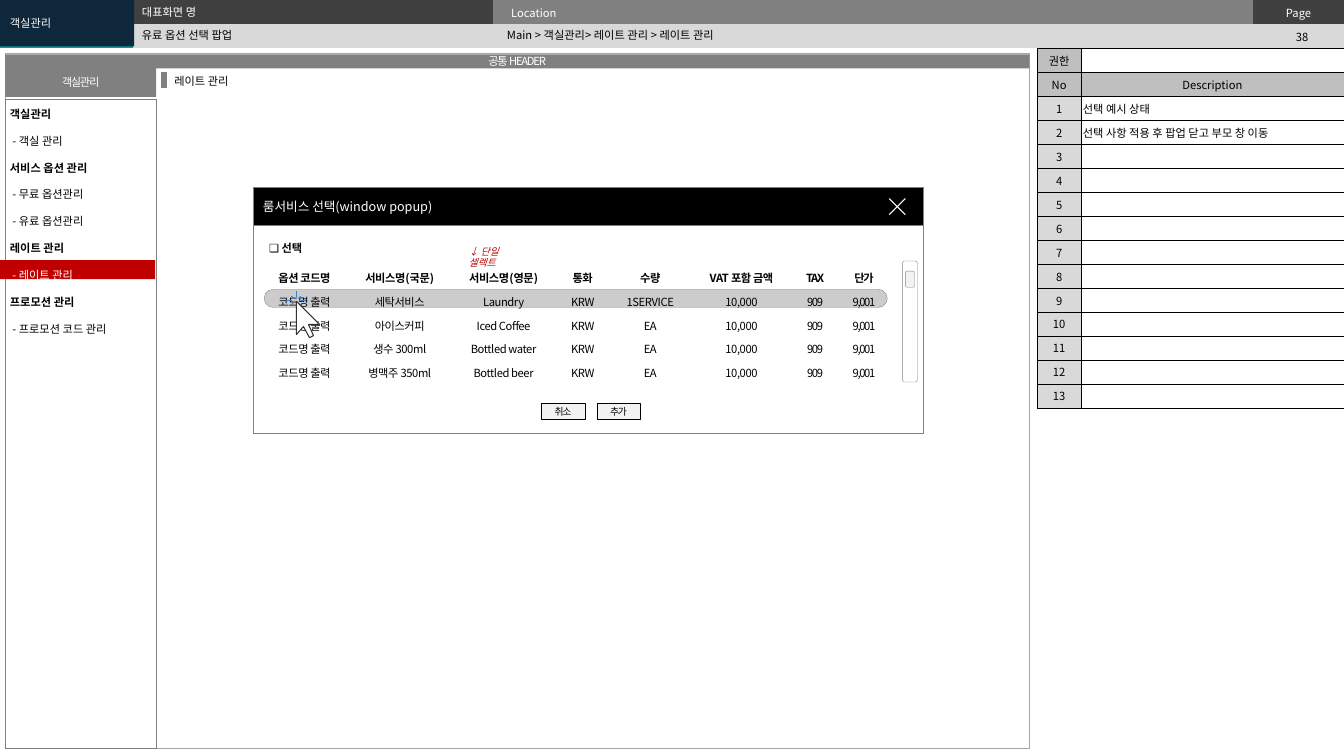
from lxml.etree import SubElement
from pptx import Presentation
from pptx.dml.color import RGBColor
from pptx.enum.shapes import MSO_CONNECTOR, MSO_SHAPE
from pptx.enum.text import MSO_ANCHOR, PP_ALIGN
from pptx.oxml import parse_xml
from pptx.oxml.ns import nsdecls, qn
from pptx.util import Inches, Pt

FONT = "Noto Sans CJK KR"
PLAIN_TABLE = "{2D5ABB26-0587-4C30-8999-92F81FD0307C}"
LEFT, CENTER = PP_ALIGN.LEFT, PP_ALIGN.CENTER

MENU = [
    ("객실관리", ["객실 관리"]),
    ("서비스 옵션 관리", ["무료 옵션관리", "유료 옵션관리"]),
    ("레이트 관리", ["레이트 관리"]),
    ("프로모션 관리", ["프로모션 코드 관리"]),
]
NOTES = ["선택 예시 상태", "선택 사항 적용 후 팝업 닫고 부모 창 이동"]
OPTION_HEADS = ["옵션 코드명", "서비스명(국문)", "서비스명(영문)", "통화", "수량",
                "VAT 포함 금액", "TAX", "단가"]
SERVICES = [
    ("세탁서비스", "Laundry", "1SERVICE"),
    ("아이스커피", "Iced Coffee", "EA"),
    ("생수 300ml", "Bottled water", "EA"),
    ("병맥주 350ml", "Bottled beer", "EA"),
]


def rgb(color):
    return RGBColor.from_string(color)


def style(paragraph, size=8, color="000000", bold=False, italic=False,
          spacing=0, align=LEFT):
    paragraph.alignment = align
    font = paragraph.font
    font.size, font.bold, font.italic, font.name = Pt(size), bold, italic, FONT
    font.color.rgb = rgb(color)
    defaults = paragraph._p.pPr.find(qn("a:defRPr"))
    SubElement(defaults, qn("a:ea")).set("typeface", FONT)
    if spacing:
        defaults.set("spc", str(round(spacing * 100)))


def fill_frame(shape, text, inset=(0.1, 0.05), **look):
    frame = shape.text_frame
    frame.word_wrap = True
    frame.vertical_anchor = MSO_ANCHOR.MIDDLE
    frame.margin_left = frame.margin_right = Inches(inset[0])
    frame.margin_top = frame.margin_bottom = Inches(inset[1])
    frame.text = text
    style(frame.paragraphs[0], **look)


def add_text(slide, box, text, **look):
    label = slide.shapes.add_textbox(*map(Inches, box))
    fill_frame(label, text, **look)
    return label


def paint(shape, fill, line, width):
    shape.shadow.inherit = False
    if fill:
        shape.fill.solid()
        shape.fill.fore_color.rgb = rgb(fill)
    else:
        shape.fill.background()
    if line:
        shape.line.color.rgb = rgb(line)
        shape.line.width = Pt(width)
    else:
        shape.line.fill.background()


def add_box(slide, box, fill=None, line=None, width=0.25, text="",
            kind=MSO_SHAPE.RECTANGLE, **look):
    shape = slide.shapes.add_shape(kind, *map(Inches, box))
    paint(shape, fill, line, width)
    if text:
        fill_frame(shape, text, **look)
    return shape


def add_outline(slide, contours, line, fill=None):
    builder = None
    for contour in contours:
        start, *rest = [(round(x * 100), round(y * 100)) for x, y in contour]
        if builder is None:
            builder = slide.shapes.build_freeform(*start, scale=Inches(0.01))
        else:
            builder.move_to(*start)
        builder.add_line_segments(rest, close=bool(fill))
    paint(builder.convert_to_shape(), fill, line, 0.75)


def add_grid(slide, left, top, widths, row_height, row_count):
    frame = slide.shapes.add_table(row_count, len(widths), Inches(left), Inches(top),
                                   Inches(sum(widths)), Inches(row_height * row_count))
    table = frame.table
    table.first_row = table.horz_banding = False
    table._tbl.tblPr.find(qn("a:tableStyleId")).text = PLAIN_TABLE
    for column, width in zip(table.columns, widths):
        column.width = Inches(width)
    for row in table.rows:
        row.height = Inches(row_height)
    return table


def set_cell(cell, text="", fill=None, border=False, margin=0.02, **look):
    cell.margin_left = cell.margin_right = Inches(margin)
    cell.margin_top = cell.margin_bottom = Inches(0.02)
    cell.vertical_anchor = MSO_ANCHOR.MIDDLE
    paragraph = cell.text_frame.paragraphs[0]
    paragraph.text = text
    style(paragraph, **look)
    if not text:
        SubElement(paragraph._p, qn("a:endParaRPr")).set("sz", "800")
    if border:
        for side in ("lnL", "lnR", "lnT", "lnB"):
            cell._tc.get_or_add_tcPr().append(parse_xml(
                f'<a:{side} {nsdecls("a")} w="6350"><a:solidFill>'
                f'<a:srgbClr val="000000"/></a:solidFill></a:{side}>'))
    if fill:
        cell.fill.solid()
        cell.fill.fore_color.rgb = rgb(fill)
    else:
        cell.fill.background()


def add_page_header(slide):
    header = add_grid(slide, 0, 0, [1.32, 3.57, 7.54, 0.9], 0.24, 2)
    header.cell(0, 0).merge(header.cell(1, 0))
    set_cell(header.cell(0, 0), fill="009CA6")
    set_cell(header.cell(0, 1), fill="404040")
    set_cell(header.cell(0, 2), "Location", "808080", margin=0.18, color="FFFFFF")
    set_cell(header.cell(0, 3), "Page", "404040", margin=0.18, color="FFFFFF", align=CENTER)
    for column in range(1, 4):
        set_cell(header.cell(1, column), fill="D9D9D9")
    add_text(slide, (12.48, 0.25, 0.87, 0.24), "38", align=CENTER)
    add_text(slide, (1.31, 0.24, 3.63, 0.22), "유료 옵션 선택 팝업")
    add_text(slide, (4.93, 0.23, 7.38, 0.24), "Main > 객실관리> 레이트 관리 > 레이트 관리")
    add_text(slide, (1.31, 0.01, 3.62, 0.22), "대표화면 명", color="FFFFFF")
    add_box(slide, (0, 0, 1.33, 0.46), "0E273B", text="객실관리", color="FFFFFF")


def add_screen_frame(slide):
    add_box(slide, (0.05, 0.53, 10.16, 6.89), line="A6A6A6")
    add_box(slide, (0.05, 0.98, 1.5, 6.44), line="808080")
    for box, text in [((0.05, 0.54, 10.16, 0.14), "공통 HEADER"),
                      ((0.05, 0.67, 1.5, 0.29), "객실관리")]:
        add_box(slide, box, "808080", text=text, color="FFFFFF", spacing=-0.9, align=CENTER)
    add_text(slide, (1.63, 0.68, 2.41, 0.24), "레이트 관리")
    marker = slide.shapes.add_connector(MSO_CONNECTOR.STRAIGHT, Inches(1.63), Inches(0.71),
                                        Inches(1.63), Inches(0.87))
    marker.line.color.rgb = rgb("808080")
    marker.line.width = Pt(4.5)
    SubElement(marker._element.spPr, qn("a:effectLst"))


def add_descriptions(slide):
    table = add_grid(slide, 10.29, 0.48, [0.43, 2.61], 3.57 / 15, 15)
    rows = [("권한", ""), ("No", "Description")]
    rows += [(str(n + 1), NOTES[n] if n < len(NOTES) else "") for n in range(13)]
    for index, (number, note) in enumerate(rows):
        set_cell(table.cell(index, 0), number, "BFBFBF" if index < 2 else "D9D9D9",
                 True, align=CENTER)
        set_cell(table.cell(index, 1), note, "BFBFBF" if index == 1 else None,
                 True, align=CENTER if index == 1 else LEFT)


def add_popup(slide):
    add_box(slide, (2.51, 2.24, 6.65, 2.06), "FFFFFF", "808080", 0.5)
    add_box(slide, (2.51, 1.86, 6.65, 0.38), "000000", "808080", 0.5,
            "룸서비스 선택(window popup)", size=9, color="FFFFFF")
    add_outline(slide, [[(8.98, 1.97), (8.82, 2.13)], [(8.82, 1.97), (8.98, 2.13)]], "FFFFFF")
    add_text(slide, (2.57, 2.34, 2.54, 0.24), "❏ 선택", bold=True)
    for left, text in [(5.37, "취소"), (5.92, "추가")]:
        add_box(slide, (left, 4, 0.43, 0.16), "F2F2F2", "000000", text=text,
                inset=(0, 0), size=7, spacing=-0.9, align=CENTER)
    options = add_grid(slide, 2.59, 2.64, [0.86, 1.03, 1.03, 0.54, 0.8, 1.01, 0.45, 0.52],
                       1.17 / 5, 5)
    rows = [OPTION_HEADS]
    rows += [["코드명 출력", korean, english, "KRW", unit, "10,000", "909", "9,001"]
             for korean, english, unit in SERVICES]
    for r, row in enumerate(rows):
        for c, text in enumerate(row):
            set_cell(options.cell(r, c), text, "FFFFFF", bold=r == 0,
                     spacing=-1 if c > 5 else -0.3, align=CENTER)
    selected = add_box(slide, (2.62, 2.87, 6.18, 0.18), "000000", "808080",
                       kind=MSO_SHAPE.ROUNDED_RECTANGLE)
    selected.adjustments[0] = 0.5
    tint = selected._element.spPr.find(qn("a:solidFill")).find(qn("a:srgbClr"))
    SubElement(tint, qn("a:alpha")).set("val", "20000")
    for box, fill in [((8.98, 2.69, 0.09, 0.16), "F2F2F2"), ((8.95, 2.59, 0.15, 1.2), None)]:
        add_box(slide, box, fill, "808080", kind=MSO_SHAPE.ROUNDED_RECTANGLE)
    add_text(slide, (4.55, 2.38, 0.77, 0.34), "↓ 단일 셀렉트", size=7, color="C00000", italic=True)


def add_click_cursor(slide):
    add_outline(slide, [[(3.11, 3.33), (3.06, 3.22), (3.17, 3.22), (2.94, 2.99),
                         (2.94, 3.32), (3.01, 3.24), (3.07, 3.35)]], "333333", "FFFFFF")
    add_outline(slide, [[(2.91, 3), (2.89, 3.03)], [(2.91, 2.96), (2.89, 2.94)],
                        [(2.96, 2.96), (2.98, 2.94)], [(2.9, 2.98), (2.84, 2.98)],
                        [(2.94, 2.95), (2.94, 2.89)], [(2.97, 2.98), (3.03, 2.98)]], "3483CB")


def add_menu(slide):
    add_box(slide, (-0.12, 2.58, 1.66, 0.19), "C00000")
    entries = []
    for heading, pages in MENU:
        entries.append((heading, True, "000000"))
        for page in pages:
            entries.append((f" - {page}", False, "FFFFFF" if page == "레이트 관리" else "000000"))
    menu = add_text(slide, (0, 0.88, 1.58, 2.48), entries[0][0], bold=True)
    frame = menu.text_frame
    frame.vertical_anchor = MSO_ANCHOR.TOP
    for text, bold, color in entries[1:]:
        paragraph = frame.add_paragraph()
        paragraph.text = text
        style(paragraph, bold=bold, color=color)
    for paragraph in frame.paragraphs:
        paragraph.line_spacing = Pt(19.2)


def main():
    deck = Presentation()
    deck.slide_width, deck.slide_height = Inches(13.33), Inches(7.5)
    slide = deck.slides.add_slide(deck.slide_layouts[6])
    for add_part in (add_page_header, add_screen_frame, add_descriptions,
                     add_popup, add_click_cursor, add_menu):
        add_part(slide)
    deck.save("out.pptx")


if __name__ == "__main__":
    main()
